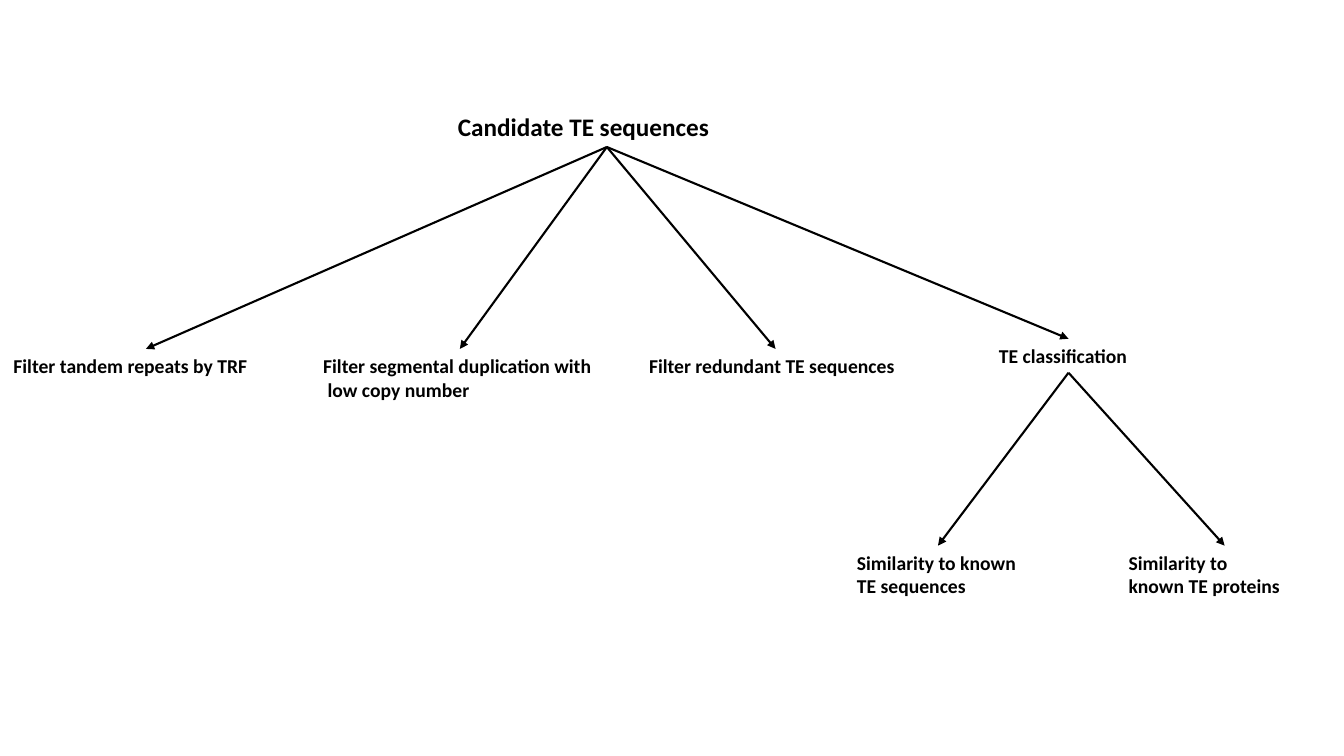
"""Draw the tree of filters and classes for candidate TE sequences."""
from dataclasses import dataclass

from lxml.etree import SubElement
from pptx import Presentation
from pptx.dml.color import RGBColor
from pptx.enum.shapes import MSO_CONNECTOR
from pptx.enum.text import MSO_AUTO_SIZE
from pptx.oxml.ns import qn
from pptx.shapes.autoshape import Shape
from pptx.slide import Slide
from pptx.util import Pt

BLACK = RGBColor(0, 0, 0)
FONT = "Calibri"
TOP, BOTTOM = 0, 2
ROW, LEAF = 249.25, 389.75
ONE, TWO = 24.25, 41


@dataclass(frozen=True)
class Node:
    key: str
    lines: tuple[str, ...]
    left: float
    top: float
    width: float
    height: float
    size: int = 14
    root: str = ""


NODES = (
    Node("start", ("Candidate TE sequences",), 320, 76, 227, 29, size=18),
    Node("tandem", ("Filter tandem repeats by TRF",), 2.5, ROW, 203.5, ONE, root="start"),
    Node("copy", ("Filter segmental duplication with", " low copy number"),
         223.75, ROW, 209.5, TWO, root="start"),
    Node("redundant", ("Filter redundant TE sequences",), 456.5, ROW, 195, ONE, root="start"),
    Node("class", ("TE classification",), 706.5, 242, 113.5, ONE, root="start"),
    Node("sequence", ("Similarity to known", "TE sequences"), 605, LEAF, 130, TWO, root="class"),
    Node("protein", ("Similarity to", "known TE proteins"), 799, LEAF, 151.5, TWO, root="class"),
)


def add_node(slide: Slide, node: Node) -> Shape:
    box = slide.shapes.add_textbox(
        Pt(node.left), Pt(node.top), Pt(node.width), Pt(node.height))
    frame = box.text_frame
    frame.word_wrap = True
    frame.auto_size = MSO_AUTO_SIZE.SHAPE_TO_FIT_TEXT
    frame.text = "\n".join(node.lines)
    for line in frame.paragraphs:
        font = line.font
        font.name, font.size, font.bold = FONT, Pt(node.size), True
        font.color.rgb = BLACK
    return box


def add_arrow(slide: Slide, start: Shape, end: Shape) -> None:
    arrow = slide.shapes.add_connector(MSO_CONNECTOR.STRAIGHT, 0, 0, 0, 0)
    arrow.begin_connect(start, BOTTOM)
    arrow.end_connect(end, TOP)
    arrow.line.color.rgb = BLACK
    arrow.line.width = Pt(1.5)
    SubElement(arrow.line._get_or_add_ln(), qn("a:tailEnd"), type="triangle")
    SubElement(arrow._element.spPr, qn("a:effectLst"))


def main() -> None:
    deck = Presentation()
    deck.slide_width, deck.slide_height = Pt(960), Pt(540)
    slide = deck.slides.add_slide(deck.slide_layouts[6])
    boxes = {node.key: add_node(slide, node) for node in NODES}
    for node in NODES:
        if node.root:
            add_arrow(slide, boxes[node.root], boxes[node.key])
    deck.save("out.pptx")


if __name__ == "__main__":
    main()
